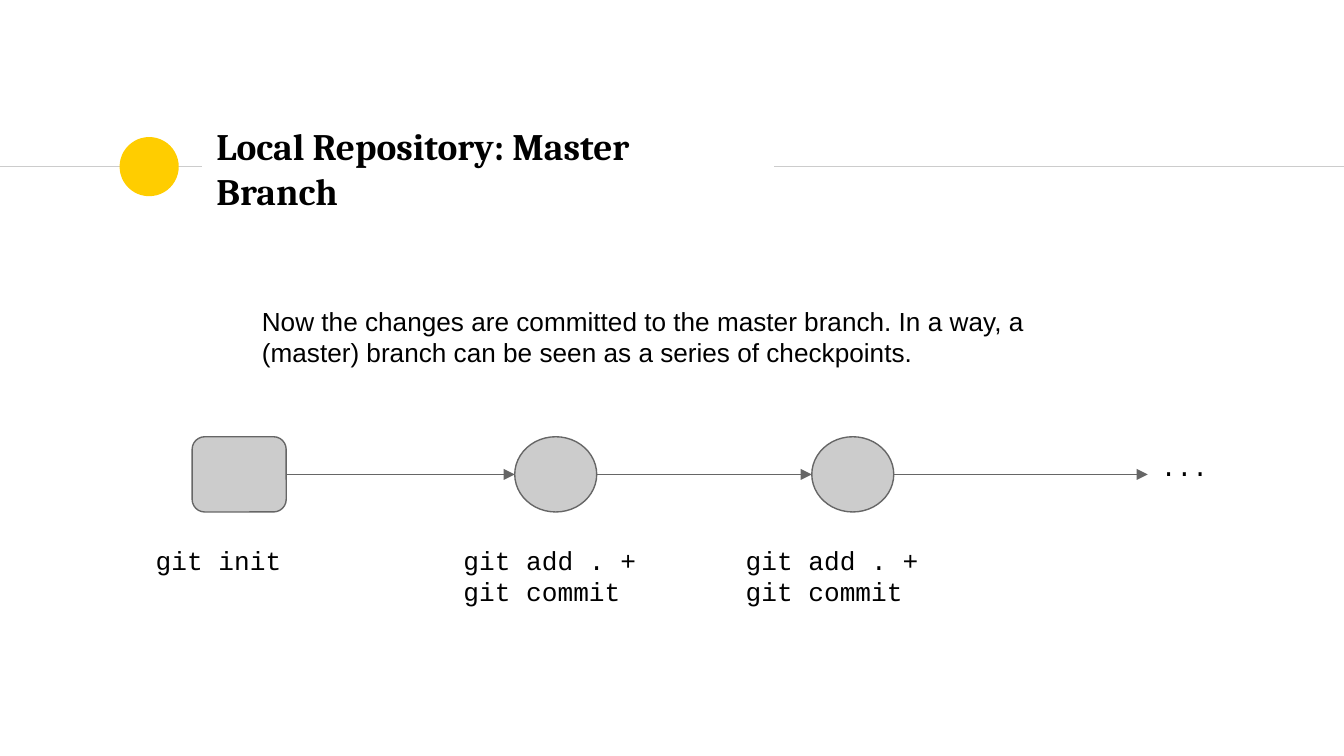
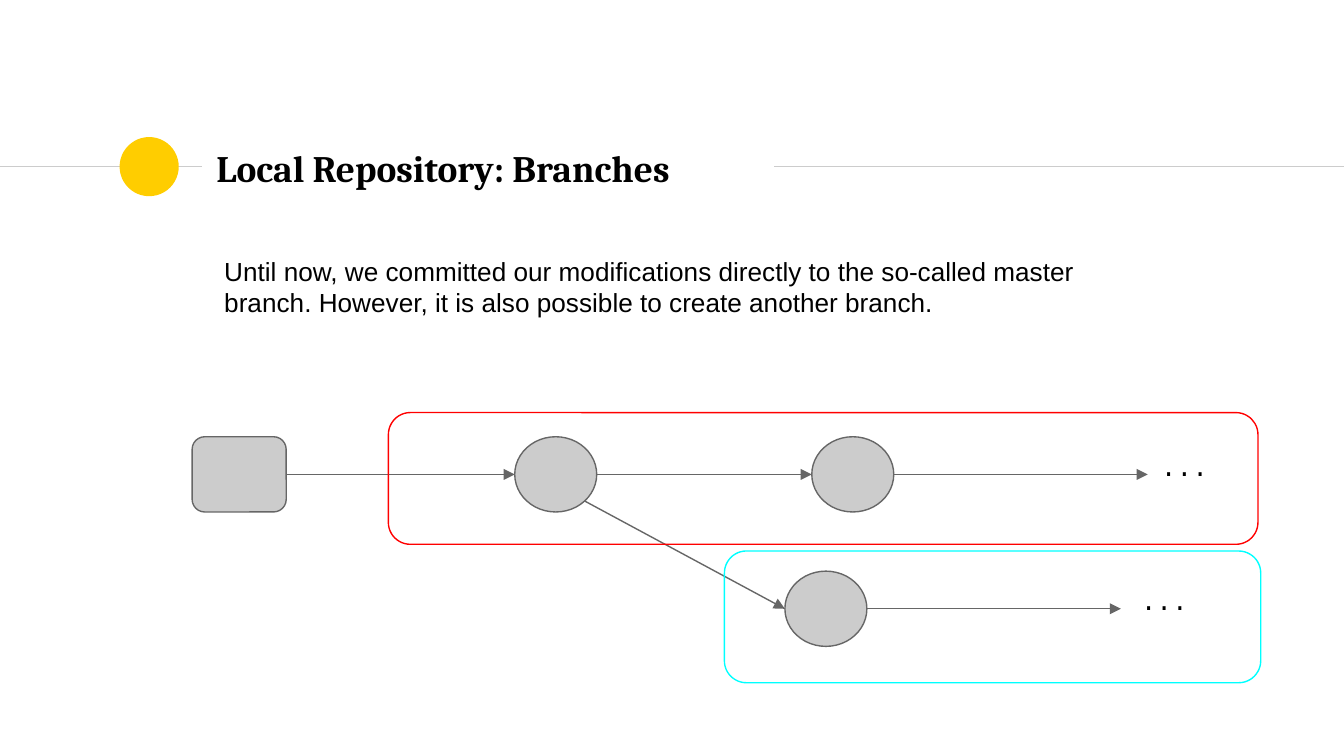
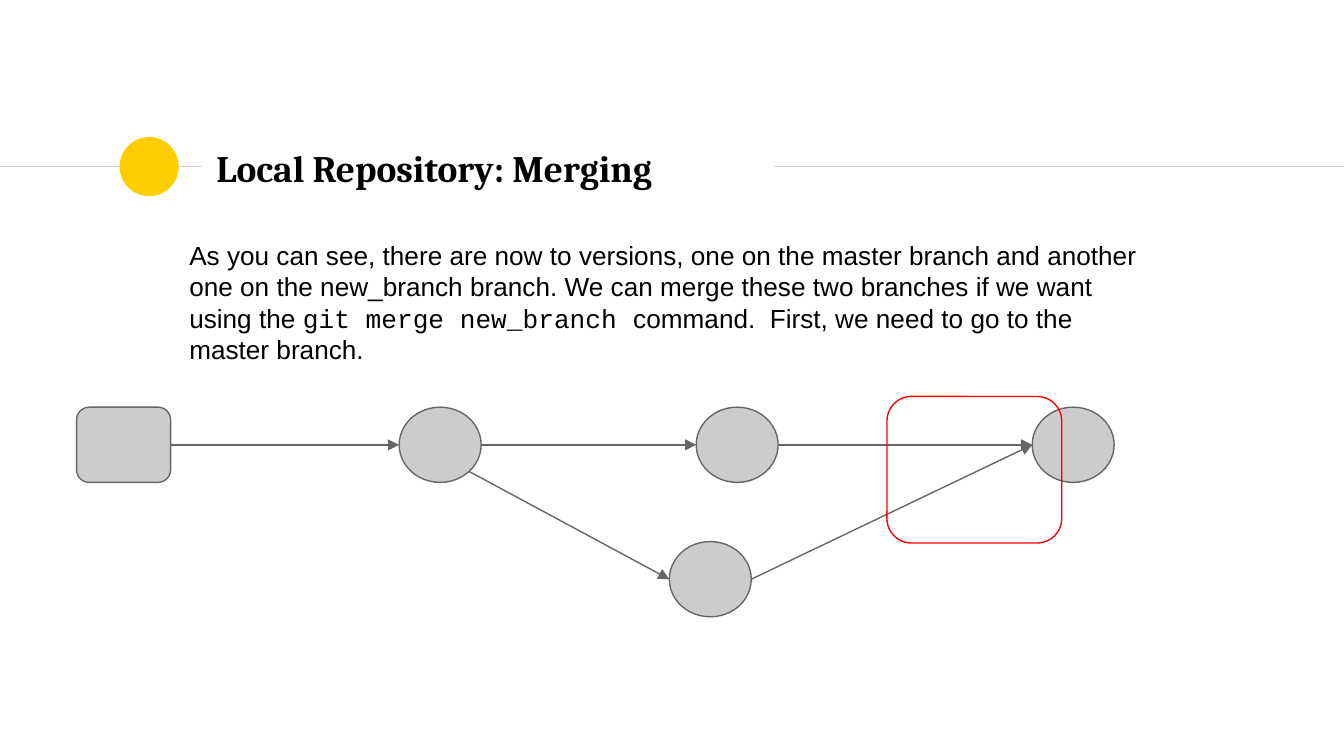
from math import sqrt

from lxml.etree import SubElement
from pptx import Presentation
from pptx.dml.color import RGBColor
from pptx.enum.shapes import MSO_CONNECTOR, MSO_SHAPE
from pptx.enum.text import MSO_ANCHOR, MSO_AUTO_SIZE, PP_ALIGN
from pptx.oxml.ns import qn
from pptx.util import Inches, Pt

SLIDE_WIDTH = Inches(10)
SLIDE_HEIGHT = SLIDE_WIDTH * 9 // 16
BLACK, RULE_GREY, NODE_GREY, EDGE_GREY = "000000", "CCCCCC", "CCCCCC", "666666"
YELLOW, RED, CYAN = "FFCD00", "FF0000", "00FFFF"
TITLE_FONT = {"name": "Cambria", "size": Pt(20), "bold": True}
BODY_FONT = {"name": "Arial", "size": Pt(14)}
CODE_FONT = {"name": "Courier New", "size": Pt(14)}
FRAME_FORMAT = {
    "word_wrap": True, "auto_size": MSO_AUTO_SIZE.NONE,
    "margin_left": Inches(0.1), "margin_right": Inches(0.1),
    "margin_top": Inches(0.1), "margin_bottom": Inches(0.1),
}
LINE_WIDTH = Pt(0.75)
ROOT_SIZE, COMMIT_SIZE = (0.7, 0.56), (0.61, 0.56)
FIRST_X, SECOND_X, END_X = 2.4, 4.61, 7.11
BRANCH_X, BRANCH_Y, BRANCH_END_X = 4.41, 1, 6.91


def rgb(hex_value):
    """Turn a hex string into a colour."""
    return RGBColor.from_string(hex_value)


def apply(target, values):
    """Set every attribute listed in a dict of format values."""
    for attribute, value in values.items():
        setattr(target, attribute, value)


def write(frame, runs, **extra):
    """Fill a text frame with one paragraph of (text, font) runs."""
    apply(frame, FRAME_FORMAT | extra)
    paragraph = frame.paragraphs[0]
    paragraph.alignment = PP_ALIGN.LEFT
    for text, font in runs:
        run = paragraph.add_run()
        run.text = text
        apply(run.font, font)
        run.font.color.rgb = rgb(BLACK)


def add_text(slide, box, *runs):
    """Place a text box at left, top, width, height."""
    write(slide.shapes.add_textbox(*map(Inches, box)).text_frame, runs)


def add_outline(slide, kind, box, fill=None, line=None):
    """Place a preset shape with an optional fill and outline."""
    outline = slide.shapes.add_shape(kind, *map(Inches, box))
    outline.shadow.inherit = False
    if fill:
        outline.fill.solid()
        outline.fill.fore_color.rgb = rgb(fill)
    else:
        outline.fill.background()
    if line:
        outline.line.color.rgb = rgb(line)
        outline.line.width = LINE_WIDTH
    else:
        outline.line.fill.background()
    return outline


def add_line(slide, start, end, color, arrow=False):
    """Draw a straight connector between two points in EMU."""
    connector = slide.shapes.add_connector(MSO_CONNECTOR.STRAIGHT, *start, *end)
    connector.line.color.rgb = rgb(color)
    connector.line.width = LINE_WIDTH
    properties = connector.element.spPr
    if arrow:
        SubElement(properties.find(qn("a:ln")), qn("a:tailEnd"), type="triangle")
    SubElement(properties, qn("a:effectLst"))
    return connector


def left_of(node):
    """Return the middle of a node's left side."""
    return node.left, node.top + node.height // 2


def right_of(node):
    """Return the middle of a node's right side."""
    return node.left + node.width, node.top + node.height // 2


def lower_right_of(node):
    """Return the point at 45 degrees on a round node's lower right."""
    reach = (1 + 1 / sqrt(2)) / 2
    return node.left + int(node.width * reach), node.top + int(node.height * reach)


def add_header_band(slide, layout):
    """Build the rule and yellow dot, then hand them to the shared layout."""
    band = [
        add_line(slide, (Inches(x1), Inches(1.24)), (Inches(x2), Inches(1.24)), RULE_GREY)
        for x1, x2 in ((0, 1.5), (5.76, 10))
    ]
    band.append(add_outline(slide, MSO_SHAPE.OVAL, (0.89, 1.02, 0.44, 0.44), YELLOW))
    for number, part in enumerate(band, 20):
        part.element.xpath(".//p:cNvPr")[0].set("id", str(number))
        layout.shapes.element.append(part.element)


def add_titled_slide(deck, layout, title):
    """Add a slide with its title in the placeholder."""
    slide = deck.slides.add_slide(layout)
    write(slide.shapes.title.text_frame, [(title, TITLE_FONT)],
          vertical_anchor=MSO_ANCHOR.MIDDLE)
    return slide


def add_commit(slide, x, y):
    """Place a round commit node."""
    return add_outline(slide, MSO_SHAPE.OVAL, (x, y, *COMMIT_SIZE), NODE_GREY, EDGE_GREY)


def add_dots(slide, x, y):
    """Mark where a line of commits goes on."""
    add_text(slide, (x, y, 0.97, 0.56), ("...", CODE_FONT))


def add_master_line(slide, x, y):
    """Draw the master branch from its top left corner; return its first commit."""
    root = add_outline(slide, MSO_SHAPE.ROUNDED_RECTANGLE, (x, y, *ROOT_SIZE),
                       NODE_GREY, EDGE_GREY)
    first, second = (add_commit(slide, x + offset, y) for offset in (FIRST_X, SECOND_X))
    trunk = add_line(slide, right_of(root), left_of(first), EDGE_GREY, arrow=True)
    trunk.begin_connect(root, 3)
    add_line(slide, right_of(first), left_of(second), EDGE_GREY, arrow=True)
    end = Inches(x + END_X), left_of(second)[1]
    add_line(slide, right_of(second), end, EDGE_GREY, arrow=True)
    return first


def add_side_branch(slide, x, y, parent):
    """Draw the commit that leaves the master branch at its parent."""
    commit = add_commit(slide, x + BRANCH_X, y + BRANCH_Y)
    add_line(slide, lower_right_of(parent), left_of(commit), EDGE_GREY, arrow=True)
    return commit


def add_frame(slide, box, color):
    """Draw an empty rounded frame around part of the graph."""
    add_outline(slide, MSO_SHAPE.ROUNDED_RECTANGLE, box, line=color)


def build_master_slide(slide, x, y):
    """Show the master branch with a command below each step."""
    add_text(slide, (1.85, 2.17, 6.65, 0.56), (
        "Now the changes are committed to the master branch. In a way, a (master) "
        "branch can be seen as a series of checkpoints.", BODY_FONT))
    add_master_line(slide, x, y)
    add_dots(slide, x + END_X, y)
    commit_command = "git add . + git commit"
    for offset, width, height, command in ((-0.37, 1.25, 0.42, "git init"),
                                           (1.92, 1.8, 0.56, commit_command),
                                           (4.02, 1.8, 0.56, commit_command)):
        add_text(slide, (x + offset, y + 0.7, width, height), (command, CODE_FONT))


def build_branches_slide(slide, x, y):
    """Show a second branch, each branch in its own frame."""
    add_text(slide, (1.57, 1.8, 6.65, 0.56), (
        "Until now, we committed our modifications directly to the so-called master "
        "branch. However, it is also possible to create another branch.", BODY_FONT))
    first = add_master_line(slide, x, y)
    add_dots(slide, x + END_X, y)
    commit = add_side_branch(slide, x, y, first)
    end = Inches(x + BRANCH_END_X), right_of(commit)[1]
    add_line(slide, right_of(commit), end, EDGE_GREY, arrow=True)
    add_dots(slide, x + BRANCH_END_X + 0.05, y + BRANCH_Y)
    add_frame(slide, (x + 1.46, y - 0.18, 6.47, 0.98), RED)
    add_frame(slide, (x + 3.96, y + 0.85, 3.99, 0.98), CYAN)


def build_merging_slide(slide, x, y):
    """Show both branches meeting in a merge commit."""
    add_text(
        slide, (1.31, 1.68, 7.38, 1.26),
        ("As you can see, there are now to versions, one on the master branch and "
         "another one on the new_branch branch. We can merge these two branches if "
         "we want using the ", BODY_FONT),
        ("git merge new_branch ", CODE_FONT),
        ("command.  First, we need to go to the master branch.", BODY_FONT))
    first = add_master_line(slide, x, y)
    commit = add_side_branch(slide, x, y, first)
    merge = add_commit(slide, x + END_X, y)
    add_line(slide, right_of(commit), left_of(merge), EDGE_GREY, arrow=True)
    add_frame(slide, (x + 6.03, y - 0.08, 1.3, 1.09), RED)


def main():
    """Build the three slides and save the deck."""
    deck = Presentation()
    apply(deck, {"slide_width": SLIDE_WIDTH, "slide_height": SLIDE_HEIGHT})
    layout = deck.slide_layouts[5]
    apply(layout.placeholders[0], {
        "left": Inches(1.51), "top": Inches(1.01),
        "width": Inches(4.24), "height": Inches(0.48),
    })
    master = add_titled_slide(deck, layout, "Local Repository: Master Branch")
    add_header_band(master, layout)
    build_master_slide(master, 1.43, 3.25)
    branches = add_titled_slide(deck, layout, "Local Repository: Branches")
    build_branches_slide(branches, 1.43, 3.25)
    merging = add_titled_slide(deck, layout, "Local Repository: Merging")
    build_merging_slide(merging, 0.57, 3.03)
    deck.save("out.pptx")


if __name__ == "__main__":
    main()
